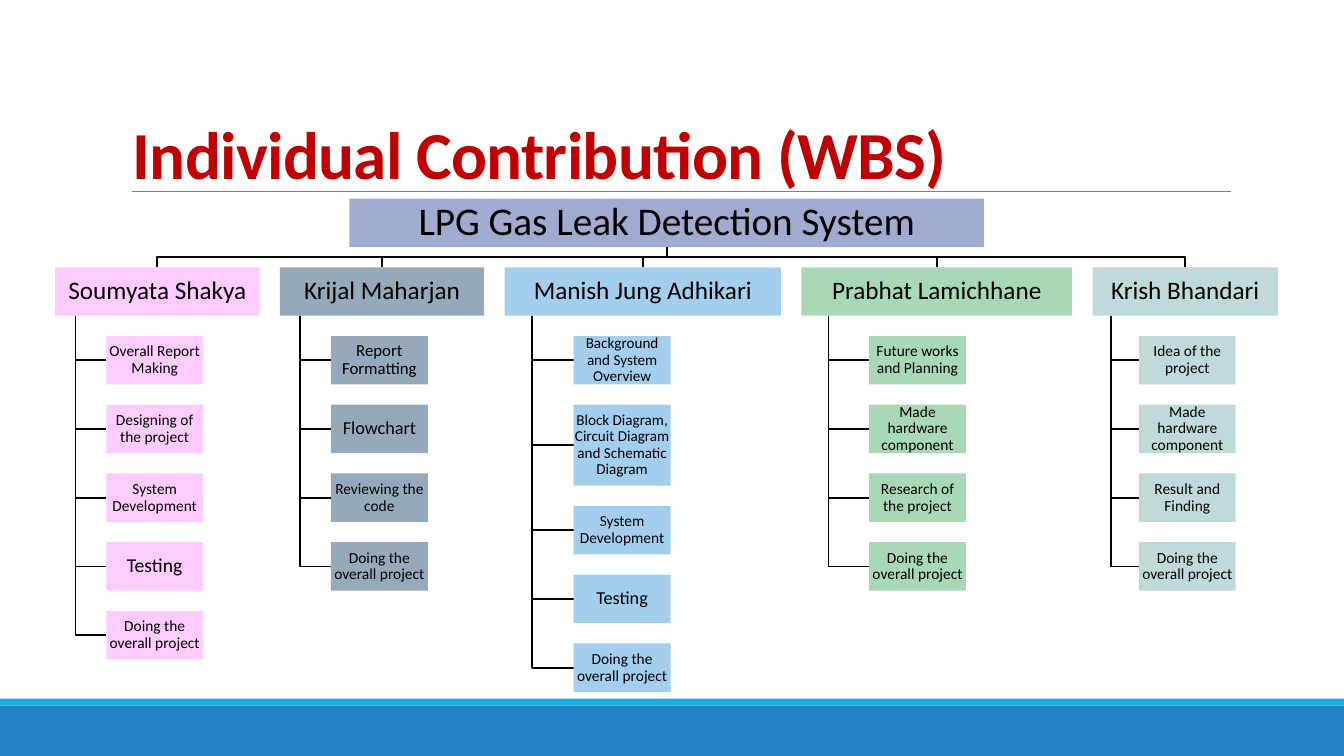
"""Build the work breakdown slide showing each member's contribution."""
from lxml import etree
from pptx import Presentation
from pptx.dml.color import RGBColor
from pptx.enum.shapes import MSO_CONNECTOR, MSO_SHAPE
from pptx.enum.text import MSO_ANCHOR, PP_ALIGN
from pptx.oxml.ns import qn
from pptx.util import Pt

RECTANGLE = MSO_SHAPE.RECTANGLE
STRAIGHT = MSO_CONNECTOR.STRAIGHT
MIDDLE, BOTTOM = MSO_ANCHOR.MIDDLE, MSO_ANCHOR.BOTTOM
CENTER = PP_ALIGN.CENTER

BLACK = RGBColor(0x00, 0x00, 0x00)
RED = RGBColor(0xC0, 0x00, 0x00)
GRAY = RGBColor(0x80, 0x80, 0x80)
BLUE = RGBColor(0x26, 0x83, 0xC6)
CYAN = RGBColor(0x1C, 0xAD, 0xE4)
LAVENDER = RGBColor(0xA1, 0xAB, 0xD0)
PINK = RGBColor(0xFF, 0xCC, 0xFF)
SLATE = RGBColor(0x96, 0xA9, 0xBA)
SKY = RGBColor(0xA3, 0xCE, 0xED)
GREEN = RGBColor(0xA9, 0xD8, 0xB7)
TEAL = RGBColor(0xC0, 0xDA, 0xD9)

FONT = "Calibri"
BOX_HEIGHT, TASK_WIDTH, GAP = 34.6, 69.2, 14.5
ROOT_LEFT, ROOT_TOP, ROOT_WIDTH = 249.6, 141.9, 453.2
MEMBER_TOP = 190.9
FIRST_LEFT = 39.4

overall = ("Doing the overall project", 11)
hardware = ("Made hardware component", 11)
development = ("System Development", 11)
members = [
    ("Soumyata Shakya", 146, PINK, [
        ("Overall Report Making", 11), ("Designing of the project", 11),
        development, ("Testing", 14), overall]),
    ("Krijal Maharjan", 146, SLATE, [
        ("Report Formatting", 12), ("Flowchart", 13),
        ("Reviewing the code", 11), overall]),
    ("Manish Jung Adhikari", 197.5, SKY, [
        ("Background and System Overview", 10.8),
        ("Block Diagram, Circuit Diagram and Schematic Diagram", 10.8),
        development, ("Testing", 13), overall]),
    ("Prabhat Lamichhane", 193.5, GREEN, [
        ("Future works and Planning", 11), hardware,
        ("Research of the project", 11), overall]),
    ("Krish Bhandari", 132.5, TEAL, [
        ("Idea of the project", 11), hardware,
        ("Result and Finding", 11), overall]),
]
tall_tasks = {"Block Diagram, Circuit Diagram and Schematic Diagram": 57.8}

deck = Presentation()
deck.slide_width, deck.slide_height = Pt(960), Pt(540)
page = deck.slides.add_slide(deck.slide_layouts[6])


def add_box(left, top, width, height, color, text="", size=11):
    box = page.shapes.add_shape(RECTANGLE, Pt(left), Pt(top), Pt(width), Pt(height))
    box.shadow.inherit = False
    box.fill.solid()
    box.fill.fore_color.rgb = color
    box.line.fill.background()
    if text:
        frame = box.text_frame
        frame.word_wrap = True
        frame.vertical_anchor = MIDDLE
        frame.margin_left = frame.margin_right = Pt(0.5)
        frame.margin_top = frame.margin_bottom = Pt(0.5)
        para = frame.paragraphs[0]
        para.text = text
        para.alignment = CENTER
        para.line_spacing = 0.9
        para.font.name, para.font.size = FONT, Pt(size)
        para.font.color.rgb = BLACK


def add_elbow(*points):
    corners = [(Pt(x), Pt(y)) for x, y in points]
    builder = page.shapes.build_freeform(*corners[0])
    builder.add_line_segments(corners[1:], close=False)
    elbow = builder.convert_to_shape()
    elbow.shadow.inherit = False
    elbow.fill.background()
    elbow.line.color.rgb = BLACK
    elbow.line.width = Pt(1.25)


add_box(0, 504, 960, 36, BLUE)
add_box(0, 499, 960, 5, CYAN)

rule = page.shapes.add_connector(STRAIGHT, Pt(94.3), Pt(136.8), Pt(879), Pt(136.8))
rule.line.color.rgb = GRAY
rule.line.width = Pt(0.5)
etree.SubElement(rule._element.spPr, qn("a:effectLst"))

title = page.shapes.add_textbox(Pt(87.6), Pt(73.4), Pt(785), Pt(68.4))
title.text_frame.word_wrap = True
title.text_frame.vertical_anchor = BOTTOM
para = title.text_frame.paragraphs[0]
para.line_spacing = 0.85
span = para.add_run()
span.text = "Individual Contribution (WBS)"
span._r.get_or_add_rPr().set("spc", "-50")
para.font.name, para.font.size, para.font.bold = FONT, Pt(48), True
para.font.color.rgb = RED

root_center = ROOT_LEFT + ROOT_WIDTH / 2
root_bottom = ROOT_TOP + BOX_HEIGHT
branch_y = (root_bottom + MEMBER_TOP) / 2
member_bottom = MEMBER_TOP + BOX_HEIGHT
add_box(ROOT_LEFT, ROOT_TOP, ROOT_WIDTH, BOX_HEIGHT, LAVENDER,
        "LPG Gas Leak Detection System", 28)

left = FIRST_LEFT
for name, width, color, tasks in members:
    center = left + width / 2
    add_elbow((root_center, root_bottom), (root_center, branch_y),
              (center, branch_y), (center, MEMBER_TOP))
    add_box(left, MEMBER_TOP, width, BOX_HEIGHT, color, name, 18)

    trunk = left + width * 0.1
    task_left = left + width * 0.25
    task_top = member_bottom + GAP
    for task, size in tasks:
        height = tall_tasks.get(task, BOX_HEIGHT)
        task_middle = task_top + height / 2
        add_elbow((trunk, member_bottom), (trunk, task_middle), (task_left, task_middle))
        add_box(task_left, task_top, TASK_WIDTH, height, color, task, size)
        task_top += height + GAP
    left += width + GAP

deck.save("out.pptx")
